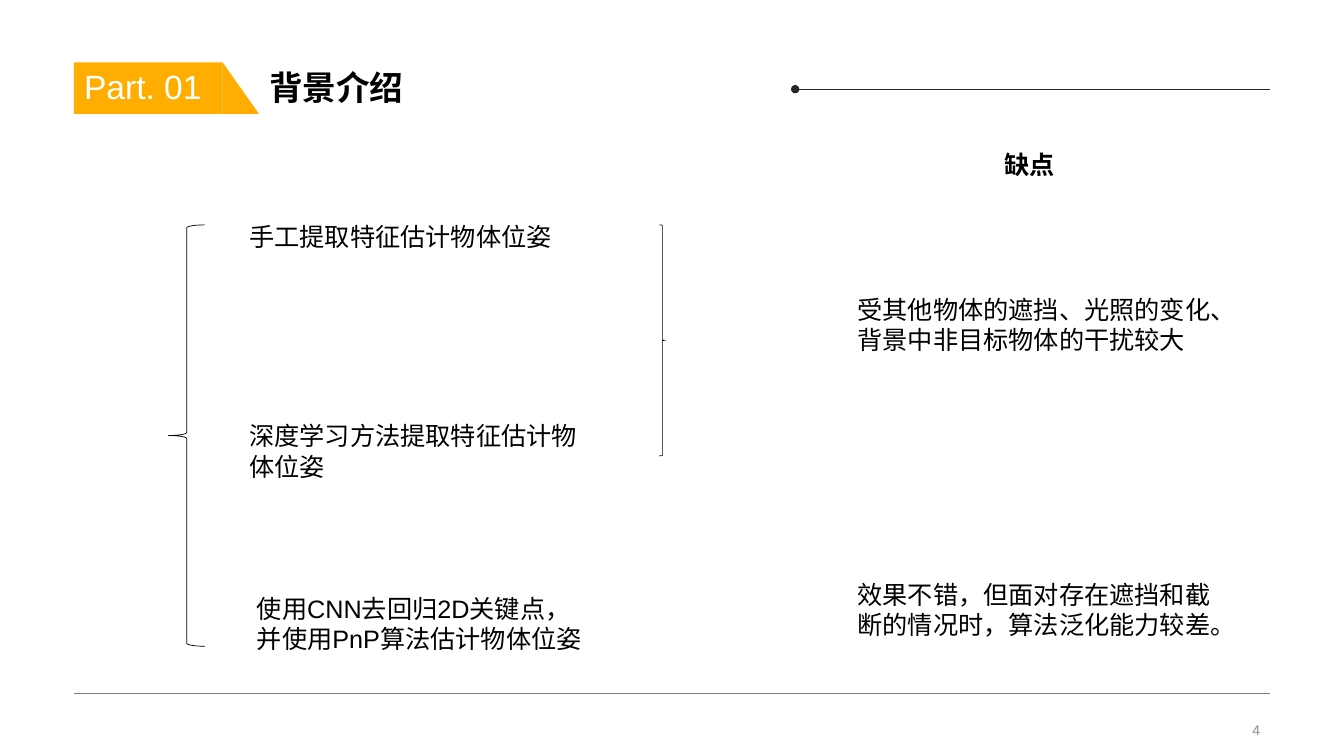
from lxml import etree
from pptx import Presentation
from pptx.dml.color import RGBColor
from pptx.enum import shapes, text
from pptx.oxml import ns
from pptx.util import Pt

ORANGE = RGBColor(0xFF, 0xAE, 0x00)
BLACK = RGBColor(0x00, 0x00, 0x00)
WHITE = RGBColor(0xFF, 0xFF, 0xFF)
CHARCOAL = RGBColor(0x26, 0x26, 0x26)
GRAY = RGBColor(0x80, 0x80, 0x80)
NUMBER_GRAY = RGBColor(0x8C, 0x8C, 0x8C)

FONT = "Arial"
LEFT, RIGHT = 52.8, 907.2
TAG_TOP, TAG_HEIGHT = 44.6, 36.8
METHOD_WIDTH, DRAWBACK_WIDTH = 254.2, 278.6

# text, left, top, width, height, bold
NOTES = [
    ("手工提取特征估计物体位姿", 171, 154.3, METHOD_WIDTH, 29, False),
    ("深度学习方法提取特征估计物体位姿", 171, 297, METHOD_WIDTH, 51, False),
    ("使用CNN去回归2D关键点，并使用PnP算法估计物体位姿",
     176.4, 420, METHOD_WIDTH, 51, False),
    ("受其他物体的遮挡、光照的变化、背景中非目标物体的干扰较大",
     605.5, 206.6, DRAWBACK_WIDTH, 51, False),
    ("缺点", 710.6, 103, 54, 29, True),
    ("效果不错，但面对存在遮挡和截断的情况时，算法泛化能力较差。",
     605.5, 410.4, DRAWBACK_WIDTH, 51, False),
]


def style(paragraph, size, color, bold=False, align=text.PP_ALIGN.LEFT):
    paragraph.alignment = align
    font = paragraph.font
    font.name, font.size, font.bold = FONT, Pt(size), bold
    font.color.rgb = color


def add_preset(slide, kind, left, top, width, height, fill=None):
    """Add a filled shape without outline, or a thin black outline without fill."""
    preset = slide.shapes.add_shape(kind, Pt(left), Pt(top), Pt(width), Pt(height))
    preset.shadow.inherit = False
    if fill is None:
        preset.fill.background()
        preset.line.color.rgb = BLACK
        preset.line.width = Pt(0.5)
    else:
        preset.fill.solid()
        preset.fill.fore_color.rgb = fill
        preset.line.fill.background()


def add_rule(slide, left, y, color, dot=False):
    """Add a horizontal line to the right margin, with an optional dot at its start."""
    rule = slide.shapes.add_connector(
        shapes.MSO_CONNECTOR.STRAIGHT, Pt(left), Pt(y), Pt(RIGHT), Pt(y))
    rule.line.color.rgb = color
    rule.line.width = Pt(0.5)
    if dot:
        etree.SubElement(rule.line._get_or_add_ln(), ns.qn("a:headEnd"), type="oval")
    etree.SubElement(rule.element.spPr, ns.qn("a:effectLst"))


def add_note(slide, words, left, top, width, height, size=18, color=BLACK,
             bold=False, align=text.PP_ALIGN.LEFT, anchor=text.MSO_ANCHOR.TOP):
    note = slide.shapes.add_textbox(Pt(left), Pt(top), Pt(width), Pt(height))
    frame = note.text_frame
    frame.word_wrap = True
    frame.vertical_anchor = anchor
    frame.text = words
    style(frame.paragraphs[0], size, color, bold, align)


def fill_placeholder(slide, holder, words, left, top, width, height, color,
                     anchor, bold=False):
    """Place a heading placeholder in front of the shapes drawn so far."""
    holder.left, holder.top = Pt(left), Pt(top)
    holder.width, holder.height = Pt(width), Pt(height)
    frame = holder.text_frame
    frame.text = words
    frame.auto_size = text.MSO_AUTO_SIZE.NONE
    frame.word_wrap = True
    frame.vertical_anchor = anchor
    paragraph = frame.paragraphs[0]
    properties = paragraph._p.get_or_add_pPr()
    properties.set("marL", "0")
    properties.set("indent", "0")
    etree.SubElement(properties, ns.qn("a:buNone"))
    paragraph.line_spacing = 0.9
    paragraph.space_before = Pt(0)
    style(paragraph, 24, color, bold)
    slide.shapes.element.append(holder.element)


def main():
    deck = Presentation()
    deck.slide_width, deck.slide_height = Pt(960), Pt(540)
    slide = deck.slides.add_slide(deck.slide_layouts[1])
    title, part = slide.placeholders
    preset = shapes.MSO_SHAPE

    add_preset(slide, preset.RECTANGLE, LEFT, TAG_TOP, 106.2, TAG_HEIGHT, ORANGE)
    add_preset(slide, preset.RIGHT_TRIANGLE, 159, TAG_TOP, 26, TAG_HEIGHT, ORANGE)
    add_rule(slide, LEFT, 495.4, GRAY)
    fill_placeholder(slide, title, "背景介绍", 185, 0, 722.2, 80.6, BLACK,
                     text.MSO_ANCHOR.BOTTOM, bold=True)
    add_note(slide, "4", 678.2, 513.4, 229, 16.6, size=10, color=NUMBER_GRAY,
             align=text.PP_ALIGN.RIGHT, anchor=text.MSO_ANCHOR.MIDDLE)
    fill_placeholder(slide, part, "Part. 01", LEFT, 45.2, 147.6, TAG_HEIGHT, WHITE,
                     text.MSO_ANCHOR.MIDDLE)
    add_rule(slide, 568, 63.7, CHARCOAL, dot=True)

    add_preset(slide, preset.LEFT_BRACE, 120.4, 160.6, 26, 301)
    add_preset(slide, preset.RIGHT_BRACE, 471, 160.6, 4.3, 165)
    for words, left, top, width, height, bold in NOTES:
        add_note(slide, words, left, top, width, height, bold=bold)

    deck.save("out.pptx")


if __name__ == "__main__":
    main()
